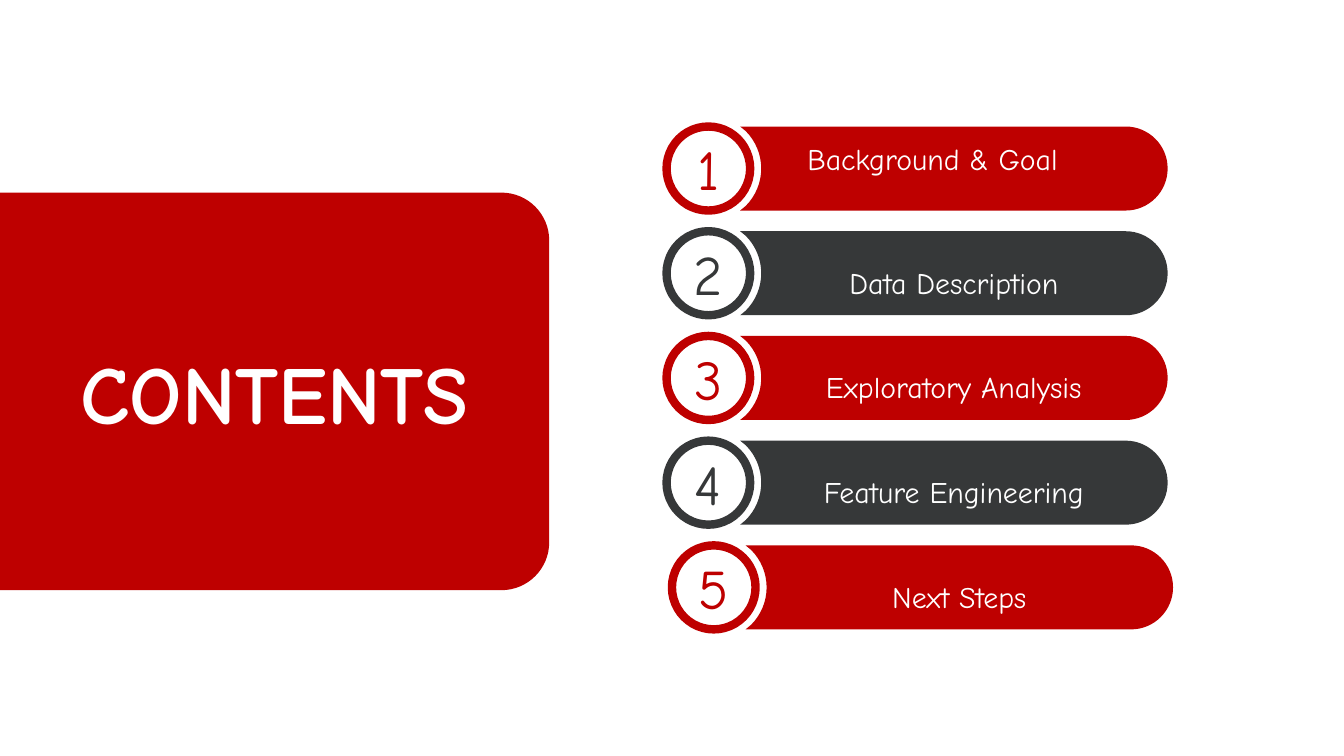
from math import cos, radians, sin, tan

from lxml.etree import SubElement
from pptx import Presentation
from pptx.dml.color import RGBColor
from pptx.enum.shapes import MSO_SHAPE
from pptx.enum.text import MSO_ANCHOR, MSO_AUTO_SIZE, PP_ALIGN
from pptx.oxml.ns import qn
from pptx.util import Pt

FONT = "Comic Neue"
RED, DARK, WHITE = "BE0000", "363839", "FFFFFF"

TOPICS = ["Background & Goal", "Data Description", "Exploratory Analysis",
          "Feature Engineering", "Next Steps"]
FIRST_TOP, ROW_PITCH = 67.8, 56.1
BAR_LEFT, BAR_WIDTH, BAR_HEIGHT = 396.5, 229, 45
CIRCLE_LEFT, CIRCLE_SIZE = 357.1, 44.8
NOTCH_RADIUS = 28.3
LAST_ROW_SHIFT = 2.9


def color(hex_string):
    return RGBColor.from_string(hex_string)


def arc(center_x, center_y, radius, start, end):
    """Two control points and the end point of a circular arc, angles in degrees."""
    start, end = radians(start), radians(end)
    pull = 4 / 3 * tan((end - start) / 4)
    return [(center_x + radius * (cos(angle) - turn * sin(angle)),
             center_y + radius * (sin(angle) + turn * cos(angle)))
            for angle, turn in ((start, pull), (end, -pull), (end, 0))]


def add_outline(page, start, steps, fill):
    """Closed outline; a step of one point is a line, of three points a curve."""
    builder = page.shapes.build_freeform(Pt(start[0]), Pt(start[1]))
    builder.add_line_segments([(Pt(x), Pt(y)) for x, y in (step[-1] for step in steps)])
    shape = builder.convert_to_shape()
    lines = list(shape._element.iter(qn("a:lnTo")))
    SubElement(lines[-1].getparent(), qn("a:close"))
    for line, step in zip(lines, steps):
        if len(step) == 3:
            curve = line.makeelement(qn("a:cubicBezTo"))
            for x, y in step:
                SubElement(curve, qn("a:pt"), x=str(Pt(x) - shape.left),
                           y=str(Pt(y) - shape.top))
            line.getparent().replace(line, curve)
    shape.shadow.inherit = False
    shape.fill.solid()
    shape.fill.fore_color.rgb = color(fill)
    shape.line.fill.background()
    return shape


def set_text(shape, text, size, text_color, bold=False):
    frame = shape.text_frame
    frame.word_wrap = True
    frame.auto_size = MSO_AUTO_SIZE.NONE
    frame.vertical_anchor = MSO_ANCHOR.MIDDLE
    frame.margin_left = frame.margin_right = frame.margin_top = frame.margin_bottom = 0
    para = frame.paragraphs[0]
    para.text = text
    para.alignment = PP_ALIGN.CENTER
    para.font.name = FONT
    para.font.size = Pt(size)
    para.font.bold = bold
    para.font.color.rgb = color(text_color)
    return para


def add_panel(page):
    top, right, bottom, radius = 103.2, 294.2, 316.2, 25.6
    steps = [[(right - radius, top)],
             arc(right - radius, top + radius, radius, -90, 0),
             [(right, bottom - radius)],
             arc(right - radius, bottom - radius, radius, 0, 90),
             [(0, bottom)]]
    add_outline(page, (0, top), steps, RED)


def add_title(page, text):
    title = page.shapes.title
    title.left, title.top, title.width, title.height = Pt(14), Pt(181.4), Pt(266.4), Pt(56.9)
    set_text(title, text, 44, WHITE, bold=True)
    # Bring the title in front of the panel
    page.shapes._spTree.append(title._element)


def add_bar(page, left, top, fill):
    """Bar with a round right end and a notch around its number circle."""
    bottom, middle = top + BAR_HEIGHT, top + BAR_HEIGHT / 2
    radius = BAR_HEIGHT / 2
    end_x = left + BAR_WIDTH - radius
    notch_x = left - BAR_LEFT + CIRCLE_LEFT + CIRCLE_SIZE / 2
    lower_notch = arc(notch_x, middle, NOTCH_RADIUS, 45, 0)
    upper_notch = arc(notch_x, middle, NOTCH_RADIUS, 0, -45)
    notch_end_x, notch_end_y = upper_notch[-1]
    steps = [[(end_x, top)],
             arc(end_x, middle, radius, -90, 0),
             arc(end_x, middle, radius, 0, 90),
             [(left, bottom)],
             [(notch_end_x, 2 * middle - notch_end_y)],
             lower_notch,
             upper_notch]
    return add_outline(page, (left, top), steps, fill)


def add_number(page, left, top, number, line_color):
    circle = page.shapes.add_shape(MSO_SHAPE.OVAL, Pt(left), Pt(top),
                                   Pt(CIRCLE_SIZE), Pt(BAR_HEIGHT))
    circle.shadow.inherit = False
    circle.fill.solid()
    circle.fill.fore_color.rgb = color(WHITE)
    circle.line.color.rgb = color(line_color)
    circle.line.width = Pt(4.5)
    set_text(circle, str(number), 30, line_color)


def add_topic(page, index, topic):
    top = FIRST_TOP + index * ROW_PITCH
    shift = LAST_ROW_SHIFT if index == len(TOPICS) - 1 else 0
    row_color = DARK if index % 2 else RED
    bar = add_bar(page, BAR_LEFT + shift, top, row_color)
    para = set_text(bar, topic, 16, WHITE)
    if index == 0:
        # The first topic is indented and sits a little higher
        para.alignment = PP_ALIGN.LEFT
        bar.text_frame.margin_left = Pt(36)
        bar.text_frame.margin_bottom = Pt(10.4)
    else:
        para.line_spacing = 1.5
    add_number(page, CIRCLE_LEFT + shift, top, index + 1, row_color)


def main():
    deck = Presentation()
    deck.slide_width, deck.slide_height = Pt(720), Pt(405)
    page = deck.slides.add_slide(deck.slide_layouts[5])

    # Left panel with the title
    add_panel(page)
    add_title(page, "CONTENTS")

    # Numbered topics
    for index, topic in enumerate(TOPICS):
        add_topic(page, index, topic)

    deck.save("out.pptx")


if __name__ == "__main__":
    main()
